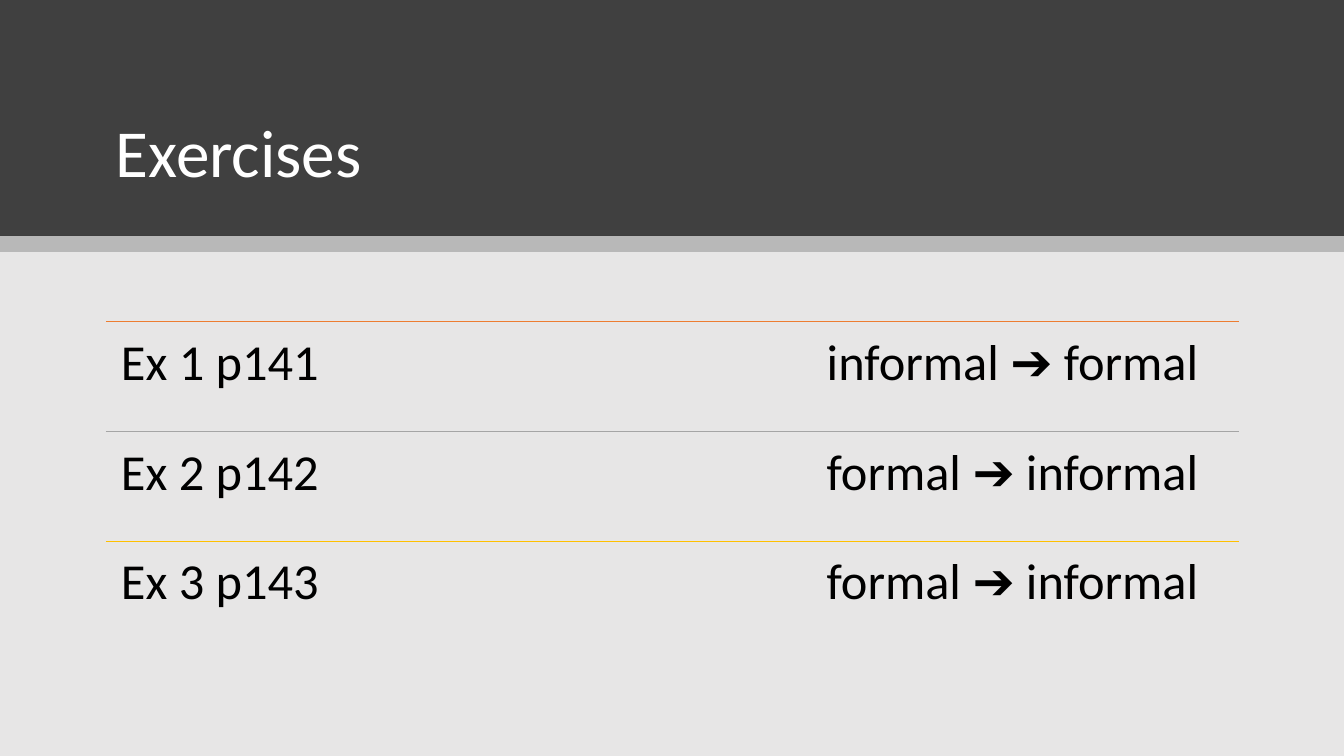
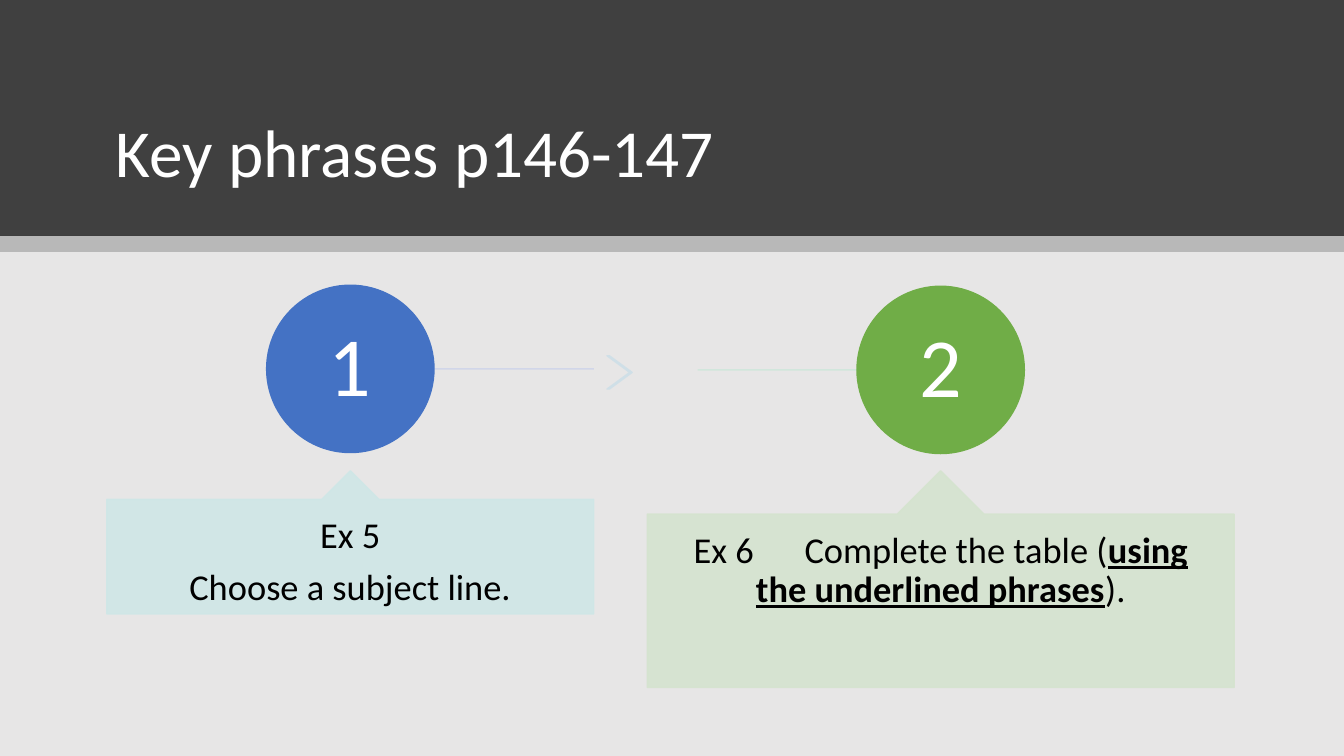
from dataclasses import dataclass

from lxml.etree import SubElement
from pptx import Presentation
from pptx.dml.color import RGBColor
from pptx.enum.shapes import MSO_CONNECTOR as Link, MSO_SHAPE as Shape
from pptx.enum.text import MSO_ANCHOR as Anchor, MSO_AUTO_SIZE as AutoSize, PP_ALIGN as Align
from pptx.oxml.ns import qn
from pptx.util import Inches, Pt

EXERCISES = {
    "title": "Exercises",
    "rows": [
        ("Ex 1 p141", "informal ➔ formal", "ED7D31"),
        ("Ex 2 p142", "formal ➔ informal", "A5A5A5"),
        ("Ex 3 p143", "formal ➔ informal", "FFC000"),
    ],
}
PHRASES = {
    "title": "Key phrases p146-147",
    "steps": [
        {
            "number": "1", "circle": "4472C4", "callout": "CFE7E6",
            "box": (1.06, 4.67, 4.83, 1.42), "circle_top": 2.83,
            "line": (3.74, 5.89, "CFD5EA"),
            "paragraphs": [[("Ex 5", False)], [("Choose a subject line.", False)]],
        },
        {
            "number": "2", "circle": "70AD47", "callout": "D5E3CF",
            "box": (6.42, 4.67, 5.82, 2.15), "circle_top": 2.84,
            "line": (6.92, 9.33, "CFE6DB"),
            "paragraphs": [[
                ("Ex 6\tComplete the table (", False),
                ("using the underlined phrases", True),
                (").", False),
            ]],
        },
    ],
    "chevron": (6.02, 3.53, 0.25, 0.33),
}


@dataclass(frozen=True)
class Theme:
    font: str = "Calibri"
    paper: str = "E7E6E6"
    band: str = "404040"
    ink: str = "000000"
    white: str = "FFFFFF"
    chevron: str = "CFDFE8"
    title_size: int = 48
    row_size: int = 36
    number_size: int = 60
    step_size: int = 26
    tint: int = 90
    stripe_tint: int = 20


THEME = Theme()
WIDTH, HEIGHT = 13.33, 7.5
LEFT, CONTENT_WIDTH = 1.05, 11.24
BAND_HEIGHT, STRIPE_HEIGHT = 2.34, 0.16
ROW_TOP, ROW_HEIGHT, ROW_TAB = 3.19, 1.09, 7
CIRCLE = 1.66


def rgb(value):
    return RGBColor.from_string(value)


def fade(shape, percent):
    for color in shape.element.spPr.iter(qn("a:srgbClr")):
        SubElement(color, qn("a:alpha")).set("val", str(percent * 1000))


def add_block(page, kind, place, color, outline=False):
    block = page.shapes.add_shape(kind, *map(Inches, place))
    block.shadow.inherit = False
    block.fill.solid()
    block.fill.fore_color.rgb = rgb(color)
    if outline:
        block.line.color.rgb = rgb(color)
        block.line.width = Pt(1)
    else:
        block.line.fill.background()
    return block


def add_rule(page, start, end, top, color, weight):
    rule = page.shapes.add_connector(
        Link.STRAIGHT, Inches(start), Inches(top), Inches(end), Inches(top))
    rule.line.color.rgb = rgb(color)
    rule.line.width = Pt(weight)
    SubElement(rule.element.spPr, qn("a:effectLst"))
    return rule


def set_frame(frame, anchor, side, edge):
    frame.word_wrap = True
    frame.auto_size = AutoSize.NONE
    frame.vertical_anchor = anchor
    frame.margin_left = frame.margin_right = Inches(side)
    frame.margin_top = frame.margin_bottom = Inches(edge)


def set_tab(para, position):
    tabs = SubElement(para._p.get_or_add_pPr(), qn("a:tabLst"))
    SubElement(tabs, qn("a:tab"), pos=str(Inches(position)), algn="l")


def style(para, size, color, align=Align.LEFT, after=0):
    para.alignment = align
    para.line_spacing = 0.9
    para.space_before = Pt(0)
    para.space_after = Pt(after)
    for span in para.runs:
        span.font.name = THEME.font
        span.font.size = Pt(size)
        span.font.color.rgb = rgb(color)


def add_page(deck, title):
    page = deck.slides.add_slide(deck.slide_layouts[5])
    page.background.fill.solid()
    page.background.fill.fore_color.rgb = rgb(THEME.paper)
    add_block(page, Shape.RECTANGLE, (0, 0, WIDTH, BAND_HEIGHT), THEME.band)
    stripe = add_block(
        page, Shape.RECTANGLE, (0, BAND_HEIGHT, WIDTH, STRIPE_HEIGHT), THEME.ink)
    fade(stripe, THEME.stripe_tint)
    heading = page.shapes.title
    stripe.element.addnext(heading.element)
    heading.left, heading.top = Inches(LEFT), Inches(0.47)
    heading.width, heading.height = Inches(CONTENT_WIDTH), Inches(1.49)
    heading.text_frame.text = title
    set_frame(heading.text_frame, Anchor.BOTTOM, 0.1, 0.05)
    style(heading.text_frame.paragraphs[0], THEME.title_size, THEME.white)
    return page


def build_exercises(deck):
    page = add_page(deck, EXERCISES["title"])
    for index, (exercise, change, color) in enumerate(EXERCISES["rows"]):
        top = ROW_TOP + index * ROW_HEIGHT
        add_rule(page, LEFT, LEFT + CONTENT_WIDTH, top, color, 0.5)
        box = page.shapes.add_textbox(
            *map(Inches, (LEFT, top, CONTENT_WIDTH, ROW_HEIGHT)))
        set_frame(box.text_frame, Anchor.TOP, 0.15, 0.15)
        para = box.text_frame.paragraphs[0]
        para.text = f"{exercise}\t{change}"
        set_tab(para, ROW_TAB)
        style(para, THEME.row_size, THEME.ink)


def add_step(page, step):
    left, top, width, height = step["box"]
    start, end, line_color = step["line"]
    circle_top = step["circle_top"]
    rule = add_rule(page, start, end, circle_top + CIRCLE / 2, line_color, 1)
    fade(rule, THEME.tint)

    circle_left = left + (width - CIRCLE) / 2
    circle = add_block(page, Shape.OVAL, (circle_left, circle_top, CIRCLE, CIRCLE),
                       step["circle"], outline=True)
    circle.text_frame.text = step["number"]
    set_frame(circle.text_frame, Anchor.MIDDLE, 0.06, 0.06)
    style(circle.text_frame.paragraphs[0], THEME.number_size, THEME.white, Align.CENTER)

    callout = add_block(page, Shape.UP_ARROW_CALLOUT, step["box"],
                        step["callout"], outline=True)
    for index, value in enumerate((0.5, 0.2, 0.2, 1)):
        callout.adjustments[index] = value
    fade(callout, THEME.tint)
    frame = callout.text_frame
    set_frame(frame, Anchor.TOP, 0.38, 0.18)
    for index, spans in enumerate(step["paragraphs"]):
        para = frame.add_paragraph() if index else frame.paragraphs[0]
        for text, stressed in spans:
            span = para.add_run()
            span.text = text
            span.font.bold = span.font.underline = stressed
        if "\t" in para.text:
            set_tab(para, 1.1)
        style(para, THEME.step_size, THEME.ink, Align.CENTER, after=9)


def build_phrases(deck):
    page = add_page(deck, PHRASES["title"])
    for step in PHRASES["steps"]:
        add_step(page, step)
    chevron = add_block(page, Shape.CHEVRON, PHRASES["chevron"],
                        THEME.chevron, outline=True)
    chevron.adjustments[0] = 0.9
    fade(chevron, THEME.tint)


def main():
    deck = Presentation()
    deck.slide_width, deck.slide_height = Inches(WIDTH), Inches(HEIGHT)
    build_exercises(deck)
    build_phrases(deck)
    deck.save("out.pptx")


if __name__ == "__main__":
    main()
